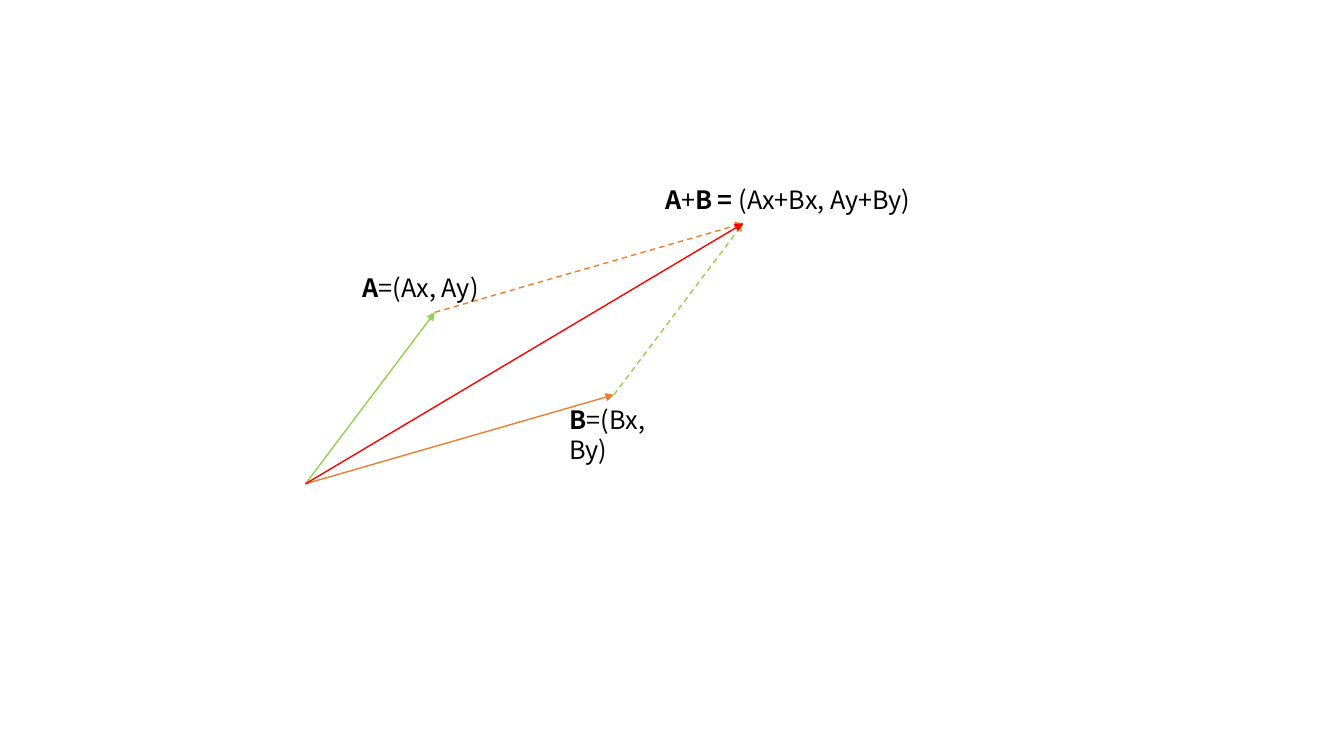
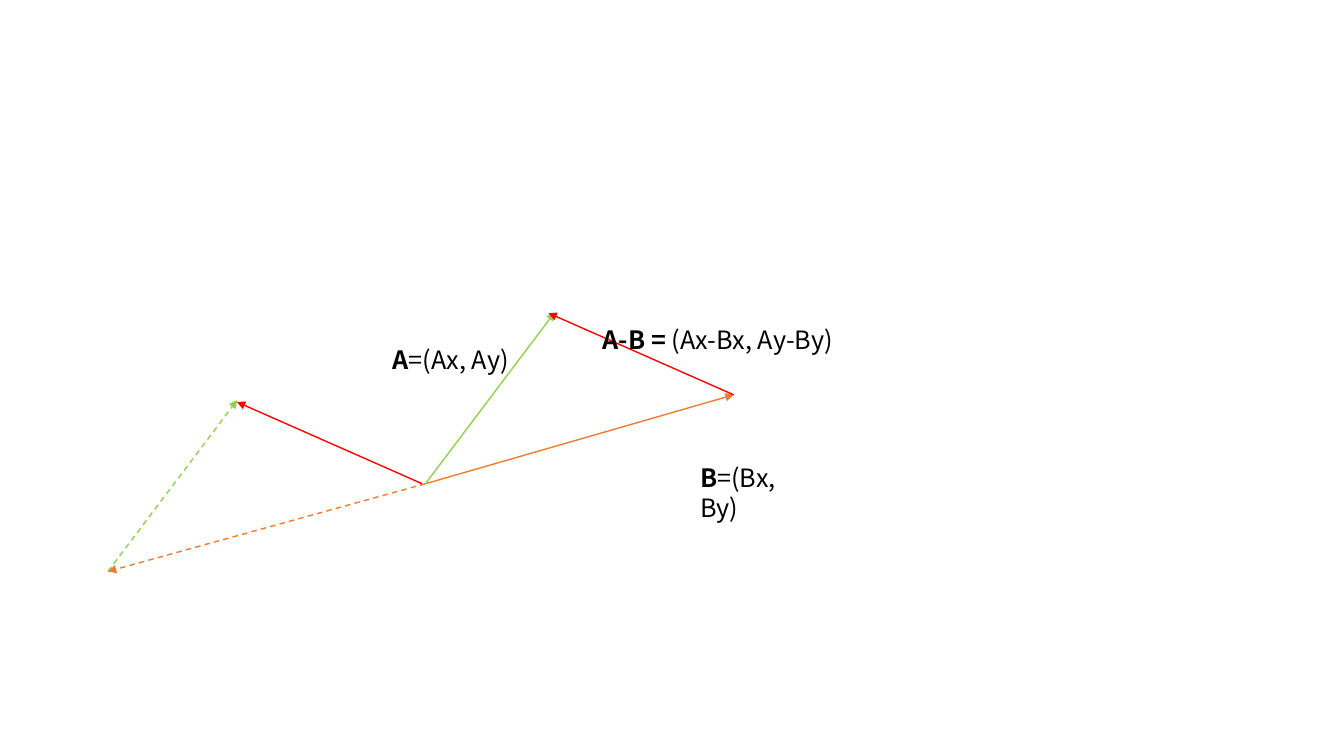
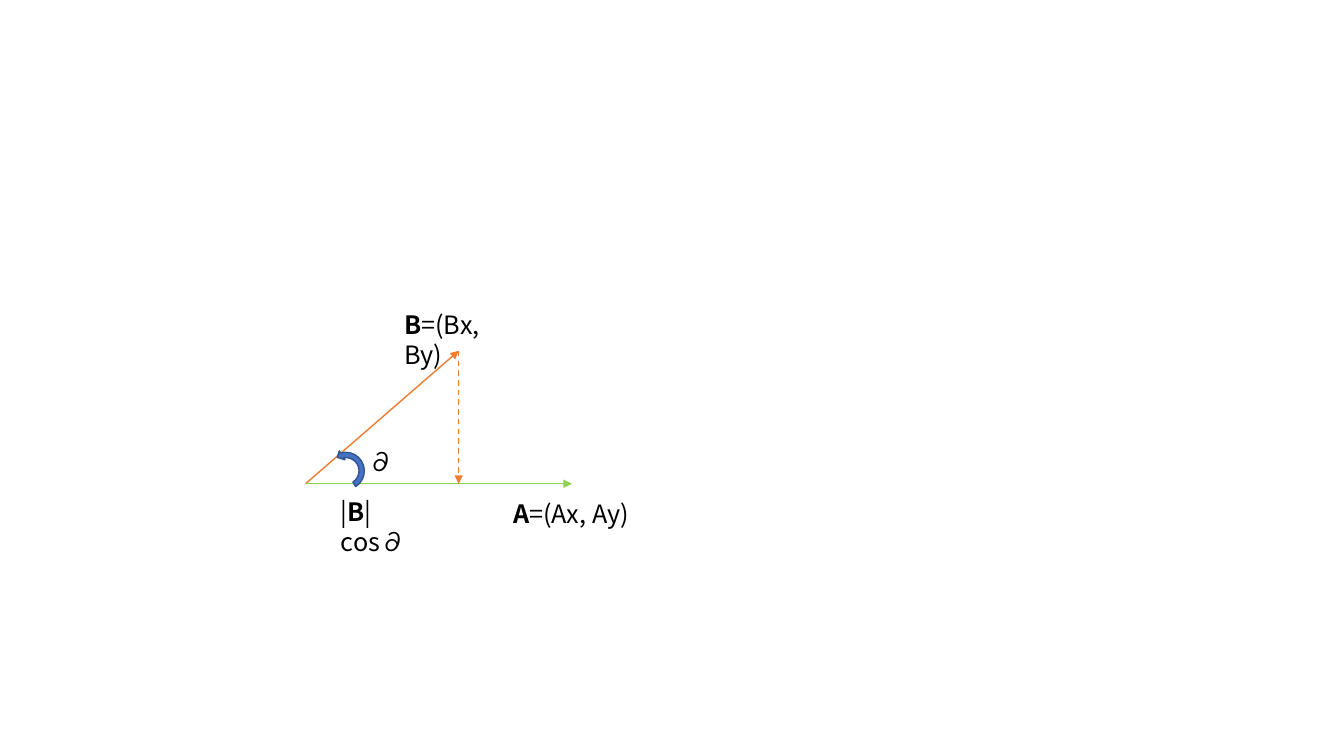
from pptx import Presentation
from pptx.dml.color import RGBColor
from pptx.enum.dml import MSO_LINE
from pptx.enum.shapes import MSO_CONNECTOR, MSO_SHAPE
from pptx.enum.text import MSO_AUTO_SIZE
from pptx.oxml.ns import qn
from pptx.util import Cm, Pt
from lxml.etree import SubElement

FONT = "Noto Sans CJK SC"
GREEN, ORANGE, RED = "92D050", "ED7D31", "FF0000"
BLUE, BLUE_EDGE, BLACK = "4472C4", "325491", "000000"
LABEL_HEIGHT = 1.02

VECTOR_A = (3.26, -4.32)
VECTOR_B = (7.77, -2.24)
NEGATED_B = (-8, 2.21)
DIFFERENCE = (-4.67, -2.06)
LABEL_A = [("A", True), ("=(Ax, Ay)", False)]
LABEL_B = [("B", True), ("=(Bx, By)", False)]
WIDTH_A, WIDTH_B = 3.5, 3.3


def rgb(value):
    return RGBColor.from_string(value)


def plus(point, offset):
    return point[0] + offset[0], point[1] + offset[1]


def vector(slide, start, offset, color, dashed=False):
    ends = [Cm(length) for length in (*start, *plus(start, offset))]
    arrow = slide.shapes.add_connector(MSO_CONNECTOR.STRAIGHT, *ends)
    arrow.line.color.rgb = rgb(color)
    arrow.line.width = Pt(1)
    if dashed:
        arrow.line.dash_style = MSO_LINE.DASH
    outline = arrow.line._get_or_add_ln()
    SubElement(outline, qn("a:tailEnd")).set("type", "triangle")
    SubElement(arrow._element.spPr, qn("a:effectLst"))


def label(slide, corner, width, pieces):
    left, top = corner
    box = slide.shapes.add_textbox(Cm(left), Cm(top), Cm(width), Cm(LABEL_HEIGHT))
    frame = box.text_frame
    frame.word_wrap = True
    frame.auto_size = MSO_AUTO_SIZE.SHAPE_TO_FIT_TEXT
    for text, bold in pieces:
        run = frame.paragraphs[0].add_run()
        run.text = text
        for attribute, value in {"name": FONT, "size": Pt(18), "bold": bold}.items():
            setattr(run.font, attribute, value)
        run.font.color.rgb = rgb(BLACK)
        SubElement(run.font._element, qn("a:ea")).set("typeface", FONT)


def angle_mark(slide, corner, size):
    left, top = corner
    mark = slide.shapes.add_shape(
        MSO_SHAPE.CIRCULAR_ARROW, Cm(left), Cm(top), Cm(size), Cm(size))
    mark.shadow.inherit = False
    mark.rotation = 57.8
    mark._element.spPr.find(qn("a:xfrm")).set("flipH", "1")
    mark.fill.solid()
    mark.fill.fore_color.rgb = rgb(BLUE)
    mark.line.color.rgb = rgb(BLUE_EDGE)
    mark.line.width = Pt(1)


def addition(slide, origin):
    tip_a, tip_b = plus(origin, VECTOR_A), plus(origin, VECTOR_B)
    vector(slide, origin, VECTOR_B, ORANGE)
    vector(slide, origin, VECTOR_A, GREEN)
    vector(slide, tip_b, VECTOR_A, GREEN, dashed=True)
    vector(slide, tip_a, VECTOR_B, ORANGE, dashed=True)
    vector(slide, origin, plus(VECTOR_A, VECTOR_B), RED)
    label(slide, plus(origin, (1.19, -5.46)), WIDTH_A, LABEL_A)
    label(slide, plus(origin, (6.4, -2.13)), WIDTH_B, LABEL_B)
    label(slide, plus(origin, (8.81, -7.67)), 6.81,
          [("A", True), ("+", False), ("B = ", True), ("(Ax+Bx, Ay+By)", False)])


def subtraction(slide, origin):
    vector(slide, origin, VECTOR_B, ORANGE)
    vector(slide, origin, VECTOR_A, GREEN)
    vector(slide, plus(origin, NEGATED_B), VECTOR_A, GREEN, dashed=True)
    vector(slide, origin, NEGATED_B, ORANGE, dashed=True)
    vector(slide, plus(origin, VECTOR_B), DIFFERENCE, RED)
    label(slide, plus(origin, (-1.07, -3.63)), WIDTH_A, LABEL_A)
    label(slide, plus(origin, (6.68, -0.66)), WIDTH_B, LABEL_B)
    label(slide, plus(origin, (4.22, -4.14)), 6.48,
          [("A-B = ", True), ("(Ax-Bx, Ay-By)", False)])
    vector(slide, plus(origin, (-0.08, 0)), DIFFERENCE, RED)


def projection(slide, origin):
    across, rise = 3.86, 3.35
    vector(slide, origin, (across, -rise), ORANGE)
    vector(slide, origin, (6.71, 0), GREEN)
    vector(slide, plus(origin, (across, -rise)), (0, rise), ORANGE, dashed=True)
    label(slide, plus(origin, (4.98, 0.25)), WIDTH_A, LABEL_A)
    label(slide, plus(origin, (2.24, -4.52)), WIDTH_B, LABEL_B)
    label(slide, plus(origin, (1.35, -1.07)), 0.86, [("∂", False)])
    angle_mark(slide, plus(origin, (0.48, -0.86)), 1.07)
    label(slide, plus(origin, (0.64, 0.18)), 2.46,
          [("|", False), ("B", True), ("|cos∂", False)])


deck = Presentation()
deck.slide_width, deck.slide_height = Cm(33.87), Cm(19.05)
for draw, origin in (
    (addition, (7.7, 12.19)),
    (subtraction, (10.72, 12.19)),
    (projection, (7.7, 12.19)),
):
    draw(deck.slides.add_slide(deck.slide_layouts[6]), origin)
deck.save("out.pptx")
